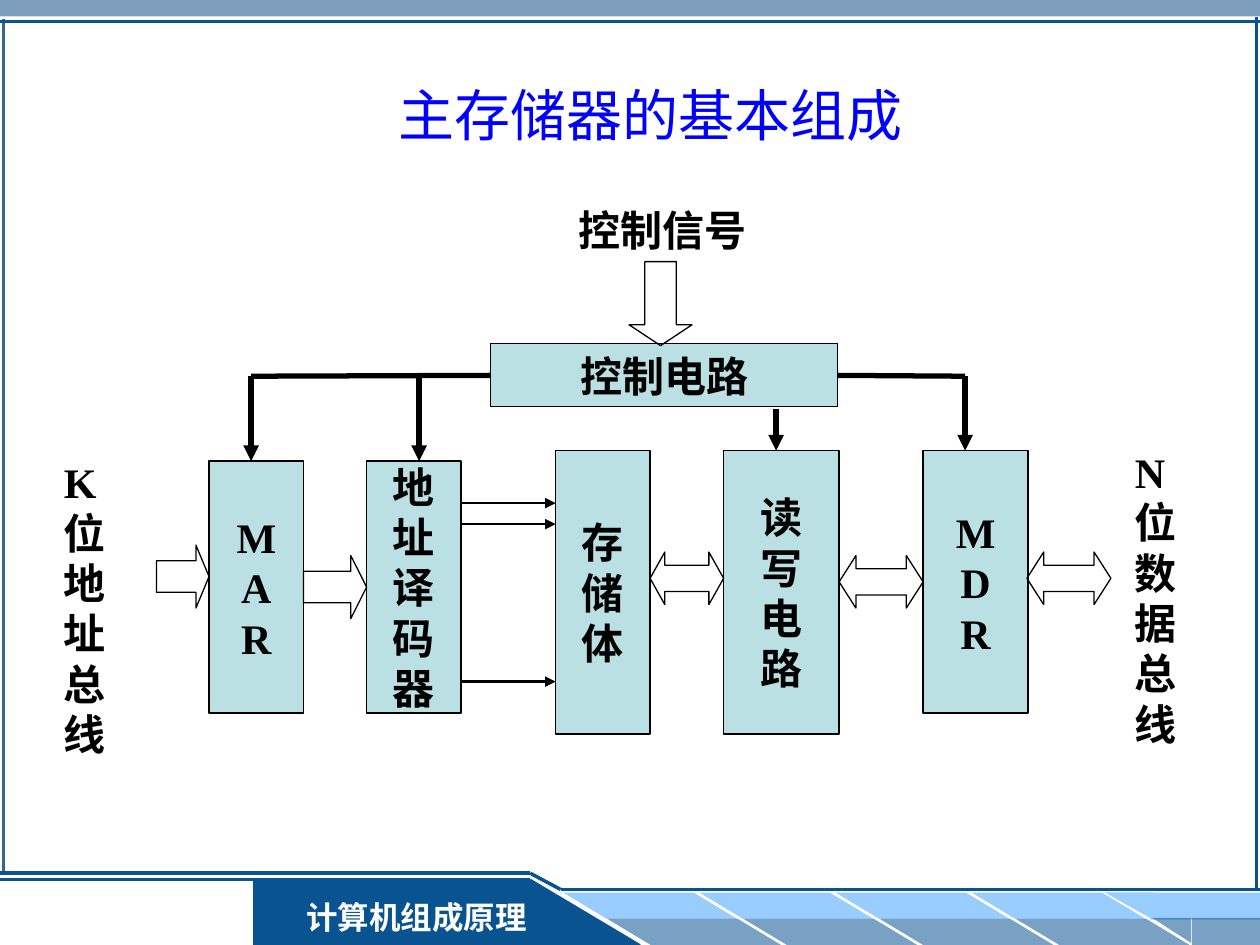
"""Build the slide on the basic composition of main memory."""
from typing import NamedTuple

import pptx
import pptx.dml.color
import pptx.enum.shapes
import pptx.enum.text
import pptx.oxml
import pptx.oxml.ns
import pptx.util

Pt = pptx.util.Pt
Shape = pptx.enum.shapes.MSO_SHAPE
Align = pptx.enum.text.PP_ALIGN
Anchor = pptx.enum.text.MSO_ANCHOR
BLACK, WHITE, NAVY, SKY, TEAL = "000000", "FFFFFF", "095391", "99CCFF", "BBE0E3"
SERIF = "Times New Roman"


class Block(NamedTuple):
    name: str
    left: float
    top: float
    width: float
    height: float


class BlockArrow(NamedTuple):
    kind: Shape
    left: float
    top: float
    width: float
    height: float
    head: float


class Wire(NamedTuple):
    x1: float
    y1: float
    x2: float
    y2: float
    weight: float
    color: str = BLACK
    arrow: bool = False


class Label(NamedTuple):
    text: str
    left: float
    top: float
    width: float
    height: float
    size: float = 24
    font: str = SERIF
    color: str = BLACK
    bold: bool = True
    align: Align = Align.LEFT
    anchor: Anchor = Anchor.TOP


def rgb(color: str) -> pptx.dml.color.RGBColor:
    """Turn a hex string into a colour."""
    return pptx.dml.color.RGBColor.from_string(color)


def add_figure(page, kind: Shape, left: float, top: float, width: float, height: float,
               fill: str = "", opacity: int = 100, line: str = ""):
    """Add a preset shape with an optional fill and thin outline."""
    figure = page.shapes.add_shape(kind, Pt(left), Pt(top), Pt(width), Pt(height))
    figure.shadow.inherit = False
    if fill:
        figure.fill.solid()
        figure.fill.fore_color.rgb = rgb(fill)
    else:
        figure.fill.background()
    if opacity < 100:
        color = figure.fill._xPr.find(".//" + pptx.oxml.ns.qn("a:srgbClr"))
        alpha = pptx.oxml.parse_xml(f'<a:alpha {pptx.oxml.ns.nsdecls("a")} val="{opacity * 1000}"/>')
        color.append(alpha)
    if line:
        figure.line.color.rgb = rgb(line)
        figure.line.width = Pt(0.75)
    else:
        figure.line.fill.background()
    return figure


def style_text(frame, text: str, size: float, font: str, color: str, bold: bool, align: Align) -> None:
    """Write text into a frame and format every run."""
    frame.text = text
    for para in frame.paragraphs:
        para.alignment = align
        for span in para.runs:
            span.font.size = Pt(size)
            span.font.name = font
            span.font.bold = bold
            span.font.color.rgb = rgb(color)


def add_block(page, block: Block):
    """Add a labelled circuit block."""
    box = add_figure(page, Shape.RECTANGLE, *block[1:], fill=TEAL, line=BLACK)
    box.text_frame.word_wrap = False
    box.text_frame.vertical_anchor = Anchor.MIDDLE
    style_text(box.text_frame, block.name, 24, SERIF, BLACK, True, Align.CENTER)
    return box


def add_label(page, label: Label) -> None:
    """Add a wrapping text box."""
    box = page.shapes.add_textbox(Pt(label.left), Pt(label.top), Pt(label.width), Pt(label.height))
    box.text_frame.word_wrap = True
    box.text_frame.vertical_anchor = label.anchor
    style_text(box.text_frame, label.text, label.size, label.font, label.color, label.bold, label.align)


def add_wire(page, wire: Wire):
    """Add a straight connector, with an arrowhead if asked for."""
    connector = page.shapes.add_connector(pptx.enum.shapes.MSO_CONNECTOR.STRAIGHT,
                                          Pt(wire.x1), Pt(wire.y1), Pt(wire.x2), Pt(wire.y2))
    connector.line.color.rgb = rgb(wire.color)
    connector.line.width = Pt(wire.weight)
    names = pptx.oxml.ns.nsdecls("a")
    if wire.arrow:
        connector.line._get_or_add_ln().append(pptx.oxml.parse_xml(f'<a:tailEnd {names} type="triangle"/>'))
    connector._element.spPr.append(pptx.oxml.parse_xml(f"<a:effectLst {names}/>"))
    return connector


def add_block_arrow(page, arrow: BlockArrow) -> None:
    """Add an outlined block arrow."""
    figure = add_figure(page, *arrow[:5], line=BLACK)
    figure.adjustments[0] = 0.5
    figure.adjustments[1] = arrow.head


def draw_frame(page) -> None:
    """Draw the page border and the footer band."""
    add_figure(page, Shape.RECTANGLE, 0, 0, 720, 9.4, "336699", 63)
    add_figure(page, Shape.RECTANGLE, 144.7, 502.6, 158.4, 37.4, NAVY)
    for column in range(4):
        left = 321.8 + column * 77.8
        for shift, top, fill, opacity in ((0, 510, SKY, 100), (25.2, 525, NAVY, 54)):
            tile = add_figure(page, Shape.PARALLELOGRAM, left + shift, top, 99.4, 15, fill, opacity)
            tile.adjustments[0] = 1.66
            tile._element.spPr.xfrm.set("flipH", "1")
    add_figure(page, Shape.RECTANGLE, 657.4, 510, 62.6, 15.5, SKY)
    add_figure(page, Shape.RIGHT_TRIANGLE, 631.4, 510, 27.4, 15.5, SKY).rotation = 180
    add_figure(page, Shape.RECTANGLE, 681.1, 524.5, 38.9, 15.5, NAVY, 54)
    add_figure(page, Shape.RIGHT_TRIANGLE, 658.4, 524.5, 22.3, 14.4, NAVY, 54).rotation = 180
    add_figure(page, Shape.RIGHT_TRIANGLE, 302.6, 502.6, 62.6, 37.4, NAVY)
    for wire in (
        Wire(2, 10.8, 2, 499, 2, "336699"),
        Wire(365.8, 540, 303, 502.6, 1, NAVY),
        Wire(303, 502.6, 0, 502.6, 1.5, NAVY),
        Wire(0, 499, 303, 499, 2, NAVY),
        Wire(303, 499, 320.4, 508.3, 2, NAVY),
        Wire(320.4, 508.3, 720, 508.3, 2, NAVY),
        Wire(0, 12.2, 720, 12.2, 2, NAVY),
        Wire(718, 10, 718, 509, 2, NAVY),
    ):
        add_wire(page, wire)
    add_label(page, Label("计算机组成原理", 164.2, 509.8, 147.6, 28.8, 18, color=WHITE, align=Align.CENTER))


def draw_diagram(page) -> None:
    """Draw the memory blocks, buses and control wiring."""
    for name, left, top, width, height in (
        ("MAR", 119.5, 263.5, 54, 144), ("地址译码器", 209.5, 263.5, 54, 144),
        ("存储体", 317.5, 257.5, 54, 162), ("读写电路", 413.5, 257.5, 66, 162),
        ("MDR", 527.5, 257.5, 60, 150),
    ):
        add_block(page, Block("\n".join(name), left, top, width, height))
    control = add_block(page, Block("控制电路", 280.5, 196.5, 198, 36))
    for arrow in (
        BlockArrow(Shape.RIGHT_ARROW, 89.5, 311.5, 30, 36, 0.25),
        BlockArrow(Shape.RIGHT_ARROW, 173.5, 317.5, 36, 36, 0.25),
        BlockArrow(Shape.LEFT_RIGHT_ARROW, 371.5, 315.5, 42, 30, 0.28),
        BlockArrow(Shape.LEFT_RIGHT_ARROW, 479.5, 317.5, 48, 30, 0.32),
        BlockArrow(Shape.LEFT_RIGHT_ARROW, 586.8, 315.5, 48, 30, 0.32),
        BlockArrow(Shape.DOWN_ARROW, 359.5, 149.5, 36, 48, 0.33),
    ):
        add_block_arrow(page, arrow)
    for y, weight in ((287.5, 0.75), (299.5, 0.75), (389.5, 1.5)):
        add_wire(page, Wire(263.5, y, 317.5, y, weight, arrow=True))
    rail = 215
    for x, top, bottom in ((143.5, rail, 263.5), (239.5, rail, 263.5),
                           (443.5, 233.5, 257.5), (551.5, rail, 257.5)):
        add_wire(page, Wire(x, top, x, bottom, 3, arrow=True))
    for side, start, end in ((1, 280.5, 143.5), (3, 478.5, 551.5)):
        add_wire(page, Wire(start, rail, end, rail, 3)).begin_connect(control, side)
    for label in (
        Label("K位地址总线", 29.5, 257.5, 42, 180),
        Label("N位数据总线", 641.5, 251.5, 36, 209),
        Label("控制信号", 323.5, 113.5, 162, 36),
        Label("主存储器的基本组成", 23.8, 20.2, 696, 90, 32, "Arial", "0000FF", False,
              Align.CENTER, Anchor.MIDDLE),
    ):
        add_label(page, label)


def main() -> None:
    """Create the deck and save it."""
    deck = pptx.Presentation()
    deck.slide_width, deck.slide_height = Pt(720), Pt(540)
    page = deck.slides.add_slide(deck.slide_layouts[6])
    draw_frame(page)
    draw_diagram(page)
    deck.save("out.pptx")


if __name__ == "__main__":
    main()
